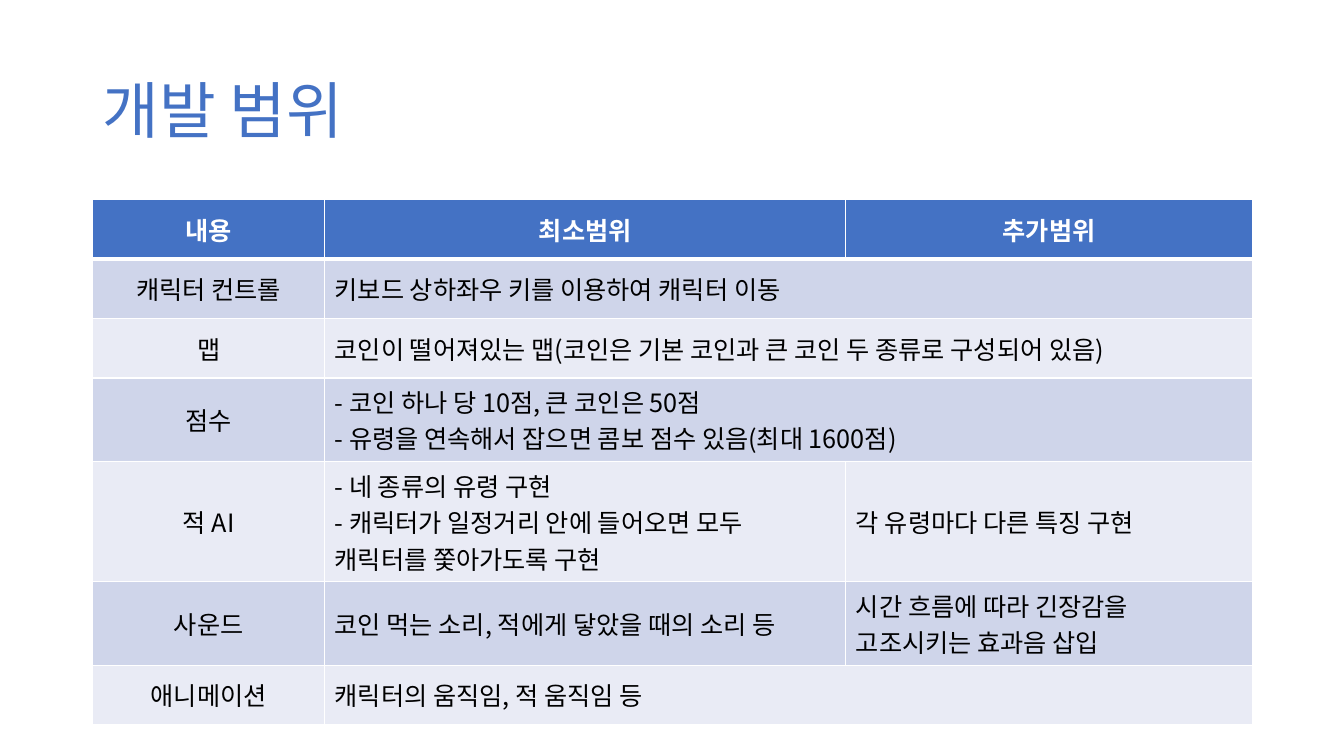
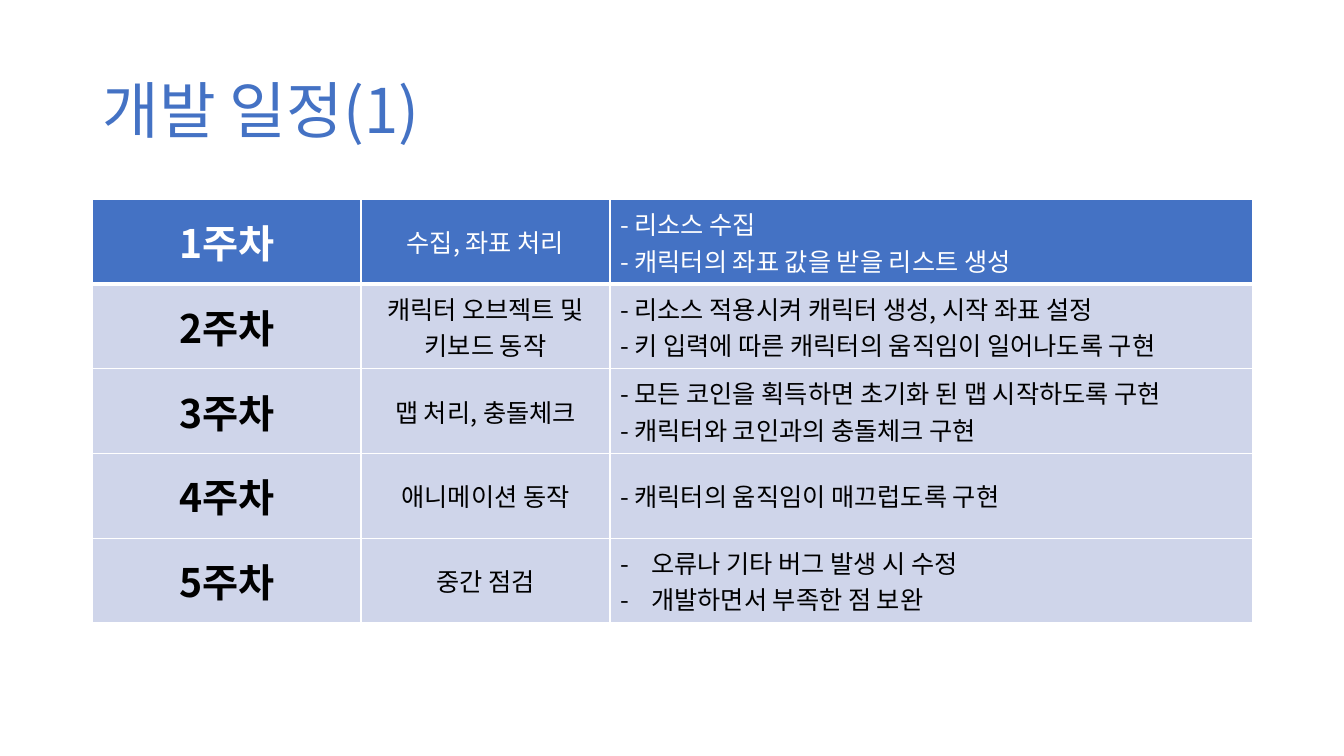
from dataclasses import dataclass

from lxml import etree
from pptx import Presentation
from pptx.dml.color import RGBColor
from pptx.enum.text import MSO_ANCHOR, PP_ALIGN
from pptx.oxml.ns import qn
from pptx.util import Inches, Pt

CENTER, LEFT = PP_ALIGN.CENTER, PP_ALIGN.LEFT
MIDDLE = MSO_ANCHOR.MIDDLE

# Shared style
FONT = "Noto Sans CJK KR"
BLUE, WHITE, BLACK = "4472C4", "FFFFFF", "000000"
BAND_DARK, BAND_LIGHT = "CFD5EA", "E9EBF5"
MARGIN, CONTENT_W, TABLE_TOP = 0.92, 11.5, 1.98
BODY_SIZE, WEEK_SIZE, TITLE_SIZE = 18, 28, 44
BULLET_INDENT = 0.31
ONE_LINE, TWO_LINES, THREE_LINES = 0.59, 0.83, 1.19
WEEK_HEIGHT = 0.84


@dataclass
class Cell:
    lines: list[str]
    align: PP_ALIGN = LEFT
    size: int = BODY_SIZE
    bold: bool = False
    span: int = 1
    bullets: bool = False


@dataclass
class TableSlide:
    title: str
    col_widths: list[float]
    row_heights: list[float]
    bands: list[str]
    rows: list[list[Cell]]


def color(value: str) -> RGBColor:
    return RGBColor.from_string(value)


def style_paragraph(p, size: int, value: str, bold: bool = False, align: PP_ALIGN = LEFT) -> None:
    p.alignment = align
    p.font.name = FONT
    p.font.size = Pt(size)
    p.font.bold = bold
    p.font.color.rgb = color(value)
    def_rpr = p._p.pPr.find(qn("a:defRPr"))
    etree.SubElement(def_rpr, qn("a:ea"), typeface=FONT)


def add_bullet(p) -> None:
    ppr = p._p.get_or_add_pPr()
    ppr.set("marL", str(Inches(BULLET_INDENT)))
    ppr.set("indent", str(-Inches(BULLET_INDENT)))
    def_rpr = ppr.find(qn("a:defRPr"))
    def_rpr.addprevious(etree.Element(qn("a:buFont"), typeface=FONT))
    def_rpr.addprevious(etree.Element(qn("a:buChar"), char="-"))


def set_borders(cell, bottom: float) -> None:
    tcpr = cell._tc.get_or_add_tcPr()
    widths = {"lnL": 1, "lnR": 1, "lnT": 1, "lnB": bottom}
    for i, (side, width) in enumerate(widths.items()):
        line = etree.Element(qn(f"a:{side}"), w=str(Pt(width)))
        fill = etree.SubElement(line, qn("a:solidFill"))
        etree.SubElement(fill, qn("a:srgbClr"), val=WHITE)
        tcpr.insert(i, line)


def fill_text(cell, content: Cell, value: str) -> None:
    cell.vertical_anchor = MIDDLE
    tf = cell.text_frame
    for i, line in enumerate(content.lines):
        p = tf.paragraphs[0] if i == 0 else tf.add_paragraph()
        p.add_run().text = line
        style_paragraph(p, content.size, value, content.bold, content.align)
        if content.bullets:
            add_bullet(p)


def add_title(s, text: str) -> None:
    sp = s.shapes.add_textbox(Inches(MARGIN), Inches(0.4), Inches(CONTENT_W), Inches(1.45))
    tf = sp.text_frame
    tf.word_wrap = True
    tf.vertical_anchor = MIDDLE
    p = tf.paragraphs[0]
    p.line_spacing = 0.9
    p.add_run().text = text
    style_paragraph(p, TITLE_SIZE, BLUE)


def add_table(s, content: TableSlide) -> None:
    table = s.shapes.add_table(
        len(content.rows), len(content.col_widths), Inches(MARGIN), Inches(TABLE_TOP),
        Inches(CONTENT_W), Inches(sum(content.row_heights))).table
    for column, width in zip(table.columns, content.col_widths):
        column.width = Inches(width)
    for table_row, height in zip(table.rows, content.row_heights):
        table_row.height = Inches(height)

    for i, row in enumerate(content.rows):
        header = i == 0
        band = BLUE if header else content.bands[(i - 1) % len(content.bands)]
        for cell in table.rows[i].cells:
            cell.fill.solid()
            cell.fill.fore_color.rgb = color(band)
            set_borders(cell, 3 if header else 1)
        col = 0
        for item in row:
            cell = table.cell(i, col)
            if item.span > 1:
                cell.merge(table.cell(i, col + item.span - 1))
            fill_text(cell, item, WHITE if header else BLACK)
            col += item.span


def heading(text: str) -> Cell:
    return Cell([text], CENTER, bold=True)


def label(*lines: str) -> Cell:
    return Cell(list(lines), CENTER)


def body(*lines: str, span: int = 1) -> Cell:
    return Cell(list(lines), span=span)


def week(number: int) -> Cell:
    return Cell([f"{number}주차"], CENTER, WEEK_SIZE, bold=True)


SCOPE_HEIGHTS = [ONE_LINE] * 3 + [TWO_LINES, THREE_LINES, TWO_LINES, ONE_LINE]

SLIDES = [
    # Development scope
    TableSlide("개발 범위", [2.3, 5.17, 4.03], SCOPE_HEIGHTS, [BAND_DARK, BAND_LIGHT], [
        [heading("내용"), heading("최소범위"), heading("추가범위")],
        [label("캐릭터 컨트롤"),
         body("키보드 상하좌우 키를 이용하여 캐릭터 이동", span=2)],
        [label("맵"),
         body("코인이 떨어져있는 맵(코인은 기본 코인과 큰 코인 두 종류로 구성되어 있음)", span=2)],
        [label("점수"),
         body("- 코인 하나 당 10점, 큰 코인은 50점",
              "- 유령을 연속해서 잡으면 콤보 점수 있음(최대 1600점)", span=2)],
        [label("적 AI"),
         body("- 네 종류의 유령 구현",
              "- 캐릭터가 일정거리 안에 들어오면 모두 캐릭터를 쫓아가도록 구현"),
         body("각 유령마다 다른 특징 구현")],
        [label("사운드"),
         body("코인 먹는 소리, 적에게 닿았을 때의 소리 등"),
         body("시간 흐름에 따라 긴장감을 고조시키는 효과음 삽입")],
        [label("애니메이션"), body("캐릭터의 움직임, 적 움직임 등", span=2)],
    ]),
    # Development schedule
    TableSlide("개발 일정(1)", [2.66, 2.47, 6.37], [WEEK_HEIGHT] * 5, [BAND_DARK], [
        [week(1), label("수집, 좌표 처리"),
         body("- 리소스 수집", "- 캐릭터의 좌표 값을 받을 리스트 생성")],
        [week(2), label("캐릭터 오브젝트 및", "키보드 동작"),
         body("- 리소스 적용시켜 캐릭터 생성, 시작 좌표 설정",
              "- 키 입력에 따른 캐릭터의 움직임이 일어나도록 구현")],
        [week(3), label("맵 처리, 충돌체크"),
         body("- 모든 코인을 획득하면 초기화 된 맵 시작하도록 구현",
              "- 캐릭터와 코인과의 충돌체크 구현")],
        [week(4), label("애니메이션 동작"),
         body("- 캐릭터의 움직임이 매끄럽도록 구현")],
        [week(5), label("중간 점검"),
         Cell(["오류나 기타 버그 발생 시 수정", "개발하면서 부족한 점 보완"], bullets=True)],
    ]),
]


def main() -> None:
    prs = Presentation()
    prs.slide_width, prs.slide_height = Inches(13.33), Inches(7.5)
    for content in SLIDES:
        s = prs.slides.add_slide(prs.slide_layouts[6])
        add_title(s, content.title)
        add_table(s, content)
    prs.save("out.pptx")


if __name__ == "__main__":
    main()
